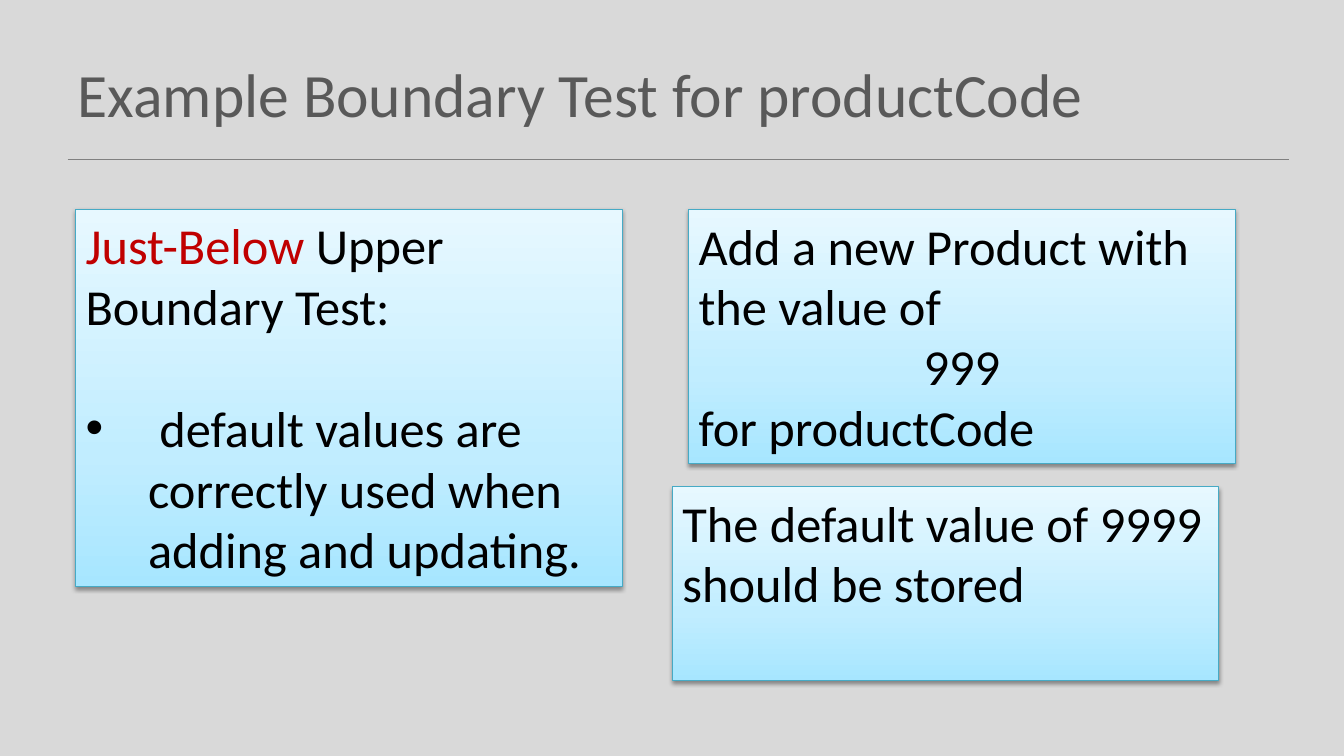
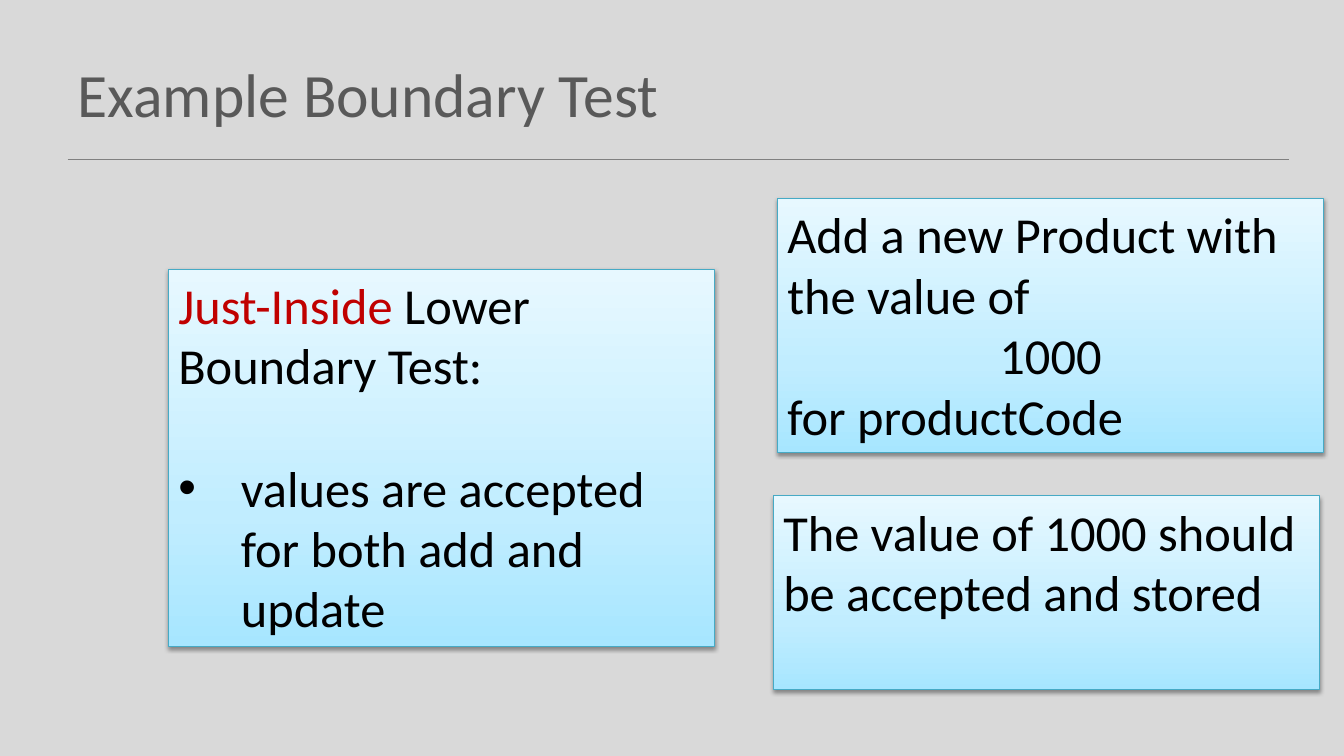
from copy import deepcopy

from lxml import etree
from pptx import Presentation
from pptx.dml.color import RGBColor
from pptx.enum.shapes import MSO_CONNECTOR, MSO_SHAPE
from pptx.enum.text import MSO_ANCHOR, MSO_AUTO_SIZE, PP_ALIGN
from pptx.oxml.ns import qn
from pptx.util import Inches, Pt

RECTANGLE, STRAIGHT = MSO_SHAPE.RECTANGLE, MSO_CONNECTOR.STRAIGHT
LEFT, CENTER = PP_ALIGN.LEFT, PP_ALIGN.CENTER
TOP, MIDDLE, NO_FIT = MSO_ANCHOR.TOP, MSO_ANCHOR.MIDDLE, MSO_AUTO_SIZE.NONE

BACKGROUND, RULE, TITLE_GRAY = "D9D9D9", "808080", "595959"
INK, ACCENT, CARD_LINE = "000000", "C00000", "46AAC5"
CARD_STOPS = [(0, "A7E6FF"), (0.35, "C1EDFF"), (1, "E7F8FF")]

TITLE_FONT = {"name": "Calibri", "size": Pt(44), "bold": False}
CARD_FONT = {"name": "Calibri", "size": Pt(36)}
TITLE_FRAME = {"word_wrap": True, "auto_size": NO_FIT, "vertical_anchor": MIDDLE}
CARD_FRAME = {"word_wrap": True, "auto_size": NO_FIT, "vertical_anchor": TOP}

CARD_WIDTH = 5.42
TEST_HEIGHT, INPUT_HEIGHT, RESULT_HEIGHT = 3.74, 2.52, 1.92
BULLET_INDENT = Inches(0.62)
BULLET_GAP = Pt(44)


def rgb(value):
    return RGBColor.from_string(value)


def apply(target, values):
    for name, value in values.items():
        setattr(target, name, value)


class Deck:
    """Holds the shared style and the current slide."""

    def __init__(self):
        self.prs = Presentation()
        self.prs.slide_width, self.prs.slide_height = Inches(13.33), Inches(7.5)
        fill = self.prs.slide_master.background.fill
        fill.solid()
        fill.fore_color.rgb = rgb(BACKGROUND)
        self.slide = None

    def new_slide(self, heading):
        self.slide = self.prs.slides.add_slide(self.prs.slide_layouts[5])
        self.rule()
        title = self.slide.shapes.title
        apply(title, {"left": Inches(0.67), "top": Inches(0.3),
                      "width": Inches(12), "height": Inches(1.25)})
        apply(title.text_frame, TITLE_FRAME)
        paragraph = title.text_frame.paragraphs[0]
        paragraph.alignment = LEFT
        self.run(paragraph, heading, TITLE_GRAY, TITLE_FONT)

    def rule(self):
        rule = self.slide.shapes.add_connector(
            STRAIGHT, Inches(0.67), Inches(1.58), Inches(12.78), Inches(1.58))
        rule.line.color.rgb = rgb(RULE)
        rule.line.width = Pt(1)
        etree.SubElement(rule._element.spPr, qn("a:effectLst"))

    def run(self, paragraph, text, color=INK, font=CARD_FONT):
        run = paragraph.add_run()
        run.text = text
        apply(run.font, font)
        run.font.color.rgb = rgb(color)

    def card(self, left, top, height):
        """Add a gradient card and return its empty text frame."""
        card = self.slide.shapes.add_shape(
            RECTANGLE, Inches(left), Inches(top), Inches(CARD_WIDTH), Inches(height))
        card.line.color.rgb = rgb(CARD_LINE)
        card.line.width = Pt(0.75)
        self.gradient(card)
        self.shadow(card)
        apply(card.text_frame, CARD_FRAME)
        card.text_frame.paragraphs[0].alignment = LEFT
        return card.text_frame

    def gradient(self, card):
        card.fill.gradient()
        card.fill.gradient_angle = 90
        stop_list = card._element.spPr.find(".//" + qn("a:gsLst"))
        stop_list.append(deepcopy(stop_list[-1]))
        for stop, (position, color) in zip(card.fill.gradient_stops, CARD_STOPS):
            stop.position = position
            stop.color.rgb = rgb(color)

    def shadow(self, card):
        card.shadow.inherit = False
        effects = card._element.spPr.find(qn("a:effectLst"))
        outer = etree.SubElement(effects, qn("a:outerShdw"), blurRad=str(Pt(3.1)),
                                 dist=str(Pt(1.6)), dir="5400000", rotWithShape="0")
        color = etree.SubElement(outer, qn("a:srgbClr"), val=INK)
        etree.SubElement(color, qn("a:alpha"), val="38000")

    def test_card(self, left, top, kind, name, expectation):
        frame = self.card(left, top, TEST_HEIGHT)
        self.run(frame.paragraphs[0], kind, ACCENT)
        self.run(frame.paragraphs[0], name)
        bullet = frame.add_paragraph()
        props = bullet._p.get_or_add_pPr()
        props.set("marL", str(BULLET_INDENT))
        props.set("indent", str(-BULLET_INDENT))
        etree.SubElement(props, qn("a:buFont"), typeface="Arial")
        etree.SubElement(props, qn("a:buChar"), char="•")
        apply(bullet, {"alignment": LEFT, "space_before": BULLET_GAP})
        self.run(bullet, expectation)

    def input_card(self, left, top, value):
        frame = self.card(left, top, INPUT_HEIGHT)
        self.run(frame.paragraphs[0], "Add a new Product with the value of")
        for text, alignment in [(value, CENTER), ("for productCode", LEFT)]:
            paragraph = frame.add_paragraph()
            paragraph.alignment = alignment
            self.run(paragraph, text)

    def result_card(self, left, top, text):
        frame = self.card(left, top, RESULT_HEIGHT)
        self.run(frame.paragraphs[0], text)


def main():
    deck = Deck()

    # Just below the boundary
    deck.new_slide("Example Boundary Test for productCode")
    deck.test_card(0.75, 2.08, "Just-Below ", "Upper Boundary Test:",
                   " default values are correctly used when adding and updating.")
    deck.input_card(6.83, 2.08, "999")
    deck.result_card(6.67, 4.83, "The default value of 9999 should be stored")

    # Just inside the boundary
    deck.new_slide("Example Boundary Test")
    deck.test_card(1.67, 2.67, "Just-Inside", " Lower Boundary Test:",
                   "values are accepted for both add and update")
    deck.result_card(7.67, 4.92, "The value of 1000 should be accepted and stored")
    deck.input_card(7.71, 1.97, "1000")

    deck.prs.save("out.pptx")


if __name__ == "__main__":
    main()
